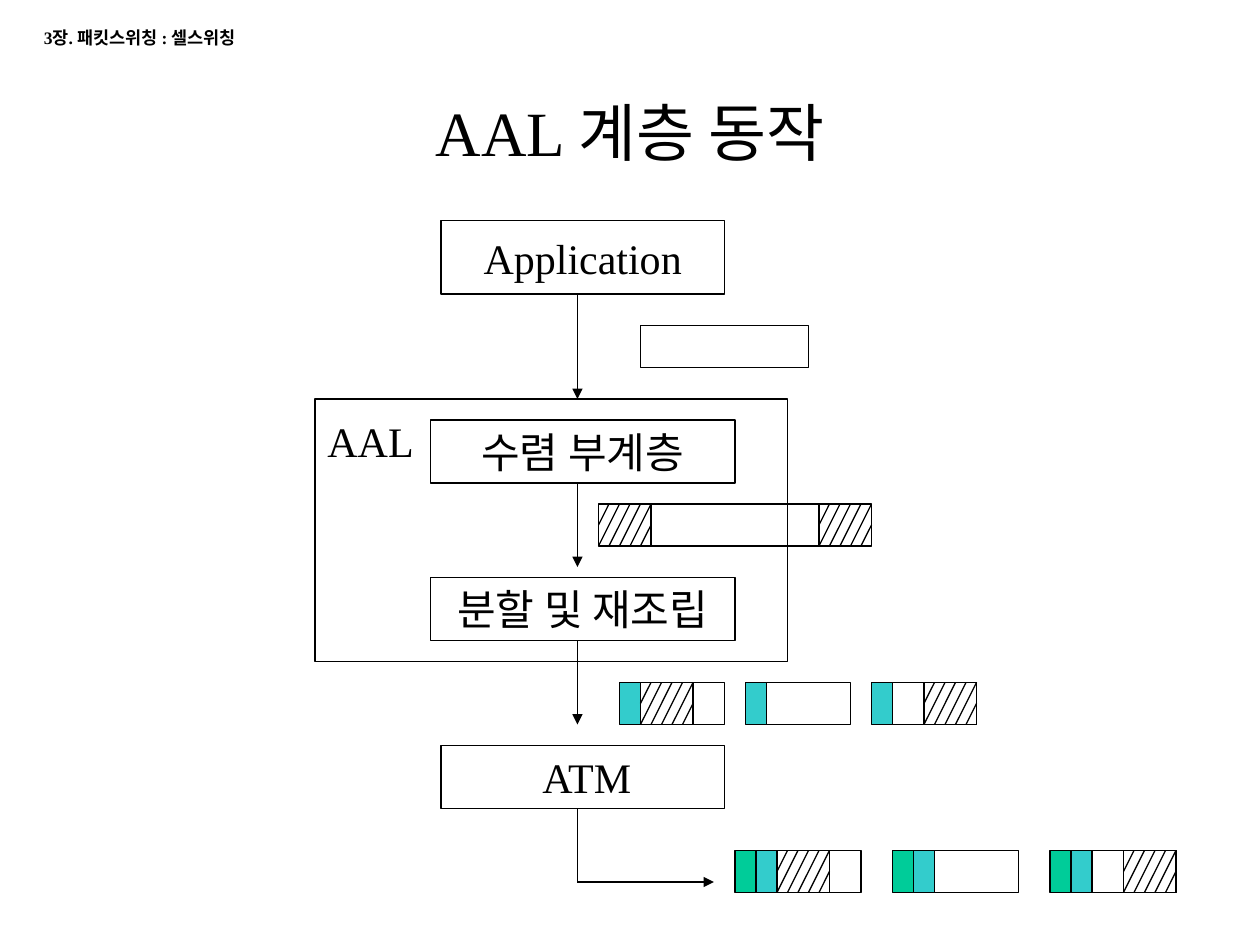
"""Build the slide on AAL layer operation, laid out on a grid of twelfths of an inch."""
from lxml import etree
from pptx import Presentation
from pptx.dml.color import RGBColor
from pptx.enum.shapes import MSO_CONNECTOR as CONNECTOR, MSO_SHAPE as SHAPE
from pptx.enum.text import MSO_ANCHOR as ANCHOR, MSO_AUTO_SIZE as AUTO_SIZE, PP_ALIGN as ALIGN
from pptx.oxml.ns import qn
from pptx.util import Inches, Pt

BLACK = RGBColor(0x00, 0x00, 0x00)
TEAL = RGBColor(0x33, 0xCC, 0xCC)
GREEN = RGBColor(0x00, 0xCC, 0x99)
FONT = "Times New Roman"
GRID = 12
BAR_HEIGHT = 4
PAYLOAD_WIDTH = 8
HATCH_WIDTH = 5
FLOW_X = 55

deck = Presentation()
deck.slide_width, deck.slide_height = Inches(10), Inches(7.5)
page = deck.slides.add_slide(deck.slide_layouts[5])


def add_box(left, top, width, height, fill=None):
    spot = [Inches(value / GRID) for value in (left, top, width, height)]
    box = page.shapes.add_shape(SHAPE.RECTANGLE, *spot)
    box.shadow.inherit = False
    if fill is None:
        box.fill.background()
    else:
        box.fill.solid()
        box.fill.fore_color.rgb = fill
    box.line.color.rgb = BLACK
    box.line.width = Pt(0.75)
    return box


def add_line(start_x, start_y, end_x, end_y, arrow=False):
    ends = [Inches(value / GRID) for value in (start_x, start_y, end_x, end_y)]
    line = page.shapes.add_connector(CONNECTOR.STRAIGHT, *ends)
    line.line.color.rgb = BLACK
    line.line.width = Pt(0.75)
    if arrow:
        etree.SubElement(line.line._get_or_add_ln(), qn("a:tailEnd"), type="triangle")
    etree.SubElement(line._element.spPr, qn("a:effectLst"))


title = page.shapes.title
title.left, title.top = Inches(7 / GRID), Inches(6 / GRID)
title.width, title.height = Inches(106 / GRID), Inches(13 / GRID)
title.text_frame.vertical_anchor = ANCHOR.MIDDLE
title_para = title.text_frame.paragraphs[0]
title_para.alignment = ALIGN.CENTER
title_span = title_para.add_run()
title_span.text = "AAL 계층 동작"
title_span.font.name = FONT
title_span.font.size = Pt(36)
title_span.font.color.rgb = BLACK

add_box(30, 38, 45, 25)

layers = [
    ("Application", 42, 21, 27, 7),
    ("수렴 부계층", 41, 40, 29, 6),
    ("분할 및 재조립", 41, 55, 29, 6),
    (" ATM", 42, 71, 27, 6),
]
for text, left, top, width, height in layers:
    frame = add_box(left, top, width, height).text_frame
    frame.word_wrap = False
    frame.vertical_anchor = ANCHOR.MIDDLE
    para = frame.paragraphs[0]
    para.alignment = ALIGN.CENTER
    span = para.add_run()
    span.text = text
    span.font.name = FONT
    span.font.size = Pt(24)
    span.font.color.rgb = BLACK

labels = [
    ("3장. 패킷스위칭 : 셀스위칭", 3, 2, 34, 3.25, 10, True),
    ("AAL", 30, 39, 13, 6, 24, False),
]
for text, left, top, width, height, size, bold in labels:
    spot = [Inches(value / GRID) for value in (left, top, width, height)]
    frame = page.shapes.add_textbox(*spot).text_frame
    frame.word_wrap = True
    frame.auto_size = AUTO_SIZE.SHAPE_TO_FIT_TEXT
    span = frame.paragraphs[0].add_run()
    span.text = text
    span.font.name = FONT
    span.font.size = Pt(size)
    span.font.bold = bold
    span.font.color.rgb = BLACK

for start_y, end_y in [(28, 38), (46, 54), (61, 69)]:
    add_line(FLOW_X, start_y, FLOW_X, end_y, arrow=True)
add_line(FLOW_X, 77, FLOW_X, 84)
add_line(FLOW_X, 84, 68, 84, arrow=True)

add_box(61, 31, 16, BAR_HEIGHT)
add_box(62, 48, 16, BAR_HEIGHT)
hatches = [(57, 48), (78, 48)]

cell_rows = [
    (65, 61, 12, [TEAL]),
    (81, 74, 15, [TEAL, GREEN]),
]
for top, first_left, pitch, headers in cell_rows:
    for index in range(3):
        left = first_left + index * pitch
        add_box(left, top, PAYLOAD_WIDTH, BAR_HEIGHT)
        for offset, fill in enumerate(headers, start=1):
            add_box(left - 2 * offset, top, 2, BAR_HEIGHT, fill)
    last_left = first_left + 2 * pitch
    hatches += [(first_left, top), (last_left + PAYLOAD_WIDTH - HATCH_WIDTH, top)]

for left, top in hatches:
    add_box(left, top, HATCH_WIDTH, BAR_HEIGHT)
    for step in range(1, HATCH_WIDTH + 2):
        start_x = min(step, HATCH_WIDTH)
        end_x = max(step - 2, 0)
        start_y = 2 * (step - start_x)
        end_y = 2 * (step - end_x)
        add_line(left + start_x, top + start_y, left + end_x, top + min(end_y, BAR_HEIGHT))

deck.save("out.pptx")
